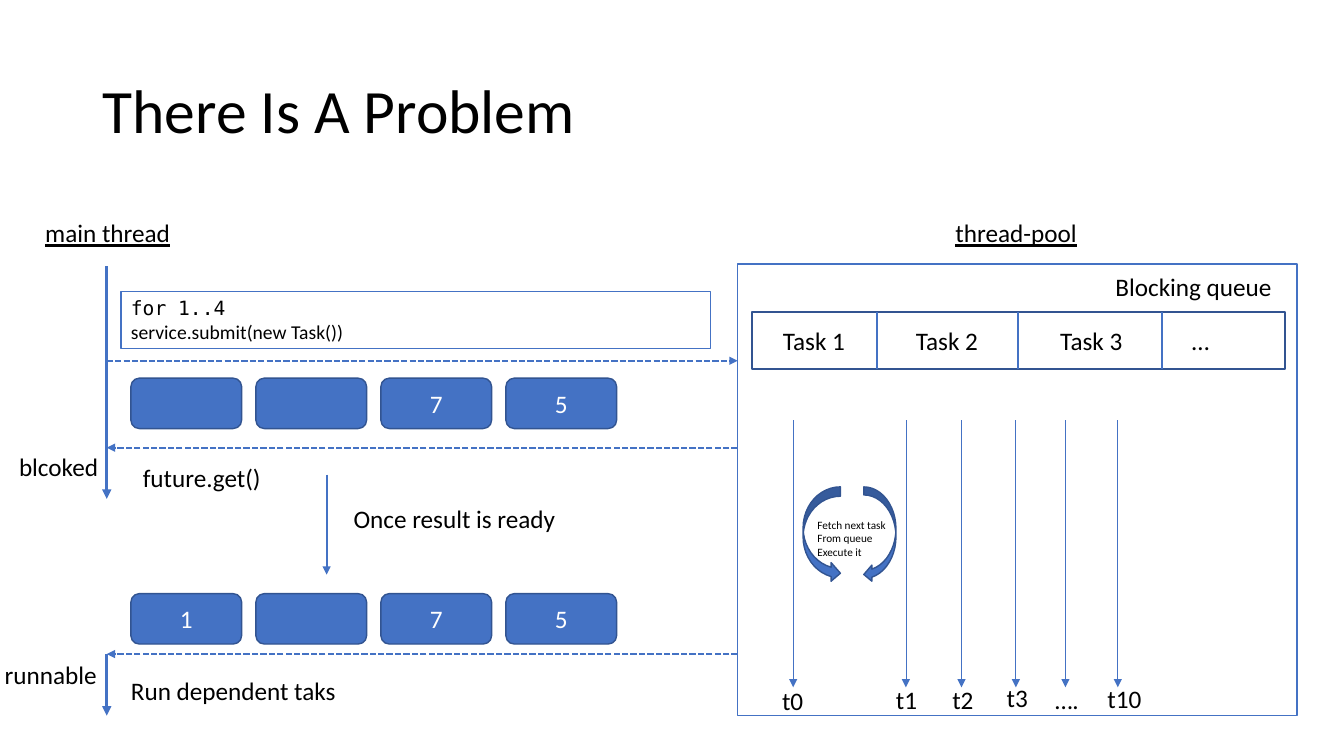
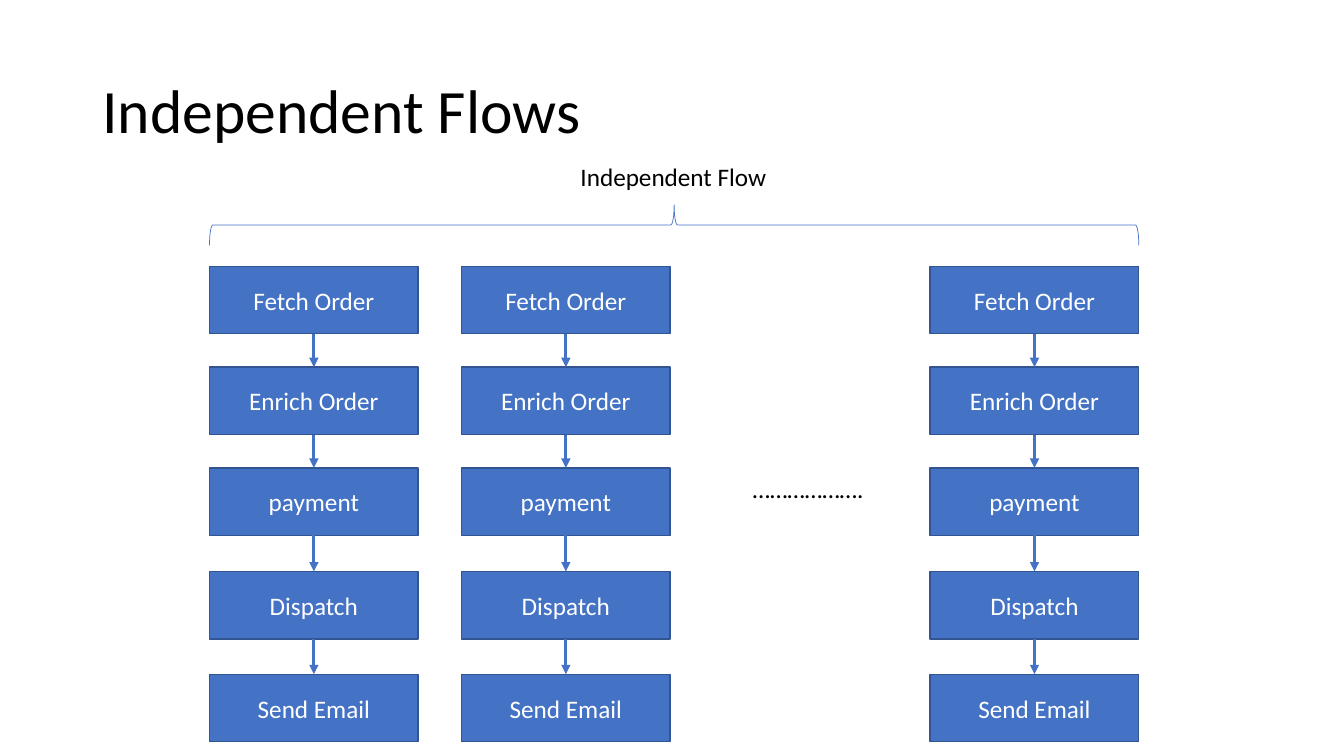
from pptx import Presentation
from pptx.dml.color import RGBColor
from pptx.enum import dml, shapes, text
from pptx.oxml.ns import qn
from pptx.util import Cm, Pt
from lxml import etree

BLUE = RGBColor(0x44, 0x72, 0xC4)
NAVY = RGBColor(0x32, 0x54, 0x91)
BLACK = RGBColor(0, 0, 0)
WHITE = RGBColor(0xFF, 0xFF, 0xFF)
FONT = "Calibri"
MONO = "DejaVu Sans Mono"
KIND = shapes.MSO_SHAPE


def add_block(s, kind, x, y, w, h, content="", fill=BLUE, line=NAVY, width=1):
    """Add a preset shape with centred white text; sizes in cm, fill may be None."""
    sp = s.shapes.add_shape(kind, Cm(x), Cm(y), Cm(w), Cm(h))
    sp.shadow.inherit = False
    if fill is None:
        sp.fill.background()
    else:
        sp.fill.solid()
        sp.fill.fore_color.rgb = fill
    sp.line.color.rgb = line
    sp.line.width = Pt(width)
    if content:
        tf = sp.text_frame
        tf.text = content
        tf.vertical_anchor = text.MSO_ANCHOR.MIDDLE
        for p in tf.paragraphs:
            p.alignment = text.PP_ALIGN.CENTER
            p.font.name, p.font.size, p.font.color.rgb = FONT, Pt(18), WHITE
    return sp


def add_line(s, x1, y1, x2, y2, width, arrow=True, dashed=False):
    c = s.shapes.add_connector(shapes.MSO_CONNECTOR.STRAIGHT,
                               Cm(x1), Cm(y1), Cm(x2), Cm(y2))
    c.line.color.rgb = BLUE
    c.line.width = Pt(width)
    if dashed:
        c.line.dash_style = dml.MSO_LINE.SQUARE_DOT
    spPr = c._element.spPr
    if arrow:
        etree.SubElement(spPr.find(qn("a:ln")), qn("a:tailEnd"), type="triangle")
    etree.SubElement(spPr, qn("a:effectLst"))
    return c


prs = Presentation()
prs.slide_width, prs.slide_height = Cm(33.87), Cm(19.05)

slides = []
for title in ("There Is A Problem", "Independent Flows"):
    s = prs.slides.add_slide(prs.slide_layouts[5])
    sp = s.shapes.title
    sp.left, sp.top, sp.width, sp.height = Cm(2.33), Cm(1.02), Cm(29.21), Cm(3.68)
    tf = sp.text_frame
    tf.text = title
    tf.vertical_anchor = text.MSO_ANCHOR.MIDDLE
    p = tf.paragraphs[0]
    p.alignment = text.PP_ALIGN.LEFT
    p.line_spacing = 0.9
    p.font.name, p.font.size, p.font.color.rgb = FONT, Pt(44), BLACK
    slides.append(s)
problem, flows = slides

# Thread pool with its queue and worker threads
POOL_X, QUEUE_Y, QUEUE_H = 18.59, 7.87, 1.42
add_block(problem, KIND.RECTANGLE, POOL_X, 6.65, 14.1, 11.38, fill=None, line=BLUE)
add_block(problem, KIND.RECTANGLE, 18.95, QUEUE_Y, 13.44, QUEUE_H, fill=None, width=1.5)
for x in (22.1, 25.65, 29.29):
    add_line(problem, x, QUEUE_Y, x, QUEUE_Y + QUEUE_H, 1.5, arrow=False)
for x in (19.99, 22.83, 24.23, 25.6, 26.85, 28.17):
    add_line(problem, x, 10.59, x, 17.32, 0.5)
add_block(problem, KIND.CURVED_RIGHT_ARROW, 20.24, 12.27, 0.94, 2.41)
add_block(problem, KIND.CURVED_LEFT_ARROW, 21.77, 12.27, 0.81, 2.41)

# Main thread, its calls to the pool and the futures
MAIN_X = 2.69
add_line(problem, MAIN_X, 6.71, MAIN_X, 12.57, 2.25)
add_line(problem, MAIN_X, 16.48, MAIN_X, 18.03, 2.25)
add_line(problem, 8.23, 11.96, 8.23, 14.48, 1.5)
add_line(problem, MAIN_X, 9.09, POOL_X, 9.09, 1.5, dashed=True)
for y in (11.28, 16.48):
    add_line(problem, POOL_X, y, MAIN_X, y, 1.5, dashed=True)

code = add_block(problem, KIND.RECTANGLE, 3.05, 7.34, 14.86, 1.45,
                 "for 1..4\nservice.submit(new Task())", fill=None, line=BLUE, width=0.75)
code.text_frame.vertical_anchor = text.MSO_ANCHOR.TOP
for p, font in zip(code.text_frame.paragraphs, (MONO, FONT)):
    p.alignment = text.PP_ALIGN.LEFT
    p.font.name, p.font.size, p.font.color.rgb = font, Pt(14), BLACK

for y, results in ((9.53, ("", "", "7", "5")), (14.96, ("1", "", "7", "5"))):
    for i, result in enumerate(results):
        add_block(problem, KIND.ROUNDED_RECTANGLE, 3.3 + i * 3.15, y, 2.79, 1.27, result)

# Order flows, each a chain of steps
STEPS = (("Fetch Order", 6.71), ("Enrich Order", 9.25), ("payment", 11.79),
         ("Dispatch", 14.4), ("Send Email", 16.99))
STEP_W, STEP_H = 5.26, 1.7
FLOW_XS = (5.28, 11.63, 23.44)
for x in FLOW_XS:
    chain = [add_block(flows, KIND.RECTANGLE, x, y, STEP_W, STEP_H, step)
             for step, y in STEPS]
    for upper, lower in zip(chain, chain[1:]):
        c = add_line(flows, 0, 0, 0, 0, 2.25)
        c.begin_connect(upper, 2)
        c.end_connect(lower, 0)

# The brace is turned upright, so its frame is set around its centre
span = FLOW_XS[-1] + STEP_W - FLOW_XS[0]
depth, center_x, center_y = 1.02, FLOW_XS[0] + span / 2, 5.67
brace = add_block(flows, KIND.RIGHT_BRACE, center_x - depth / 2, center_y - span / 2,
                  depth, span, fill=None, line=BLUE, width=0.5)
brace.rotation = 270

# Labels: slide, text, left, top, width, size, underlined
LABELS = (
    (problem, "main thread", 0.89, 5.36, 3.71, 18, True),
    (problem, "thread-pool", 23.83, 5.36, 3.61, 18, True),
    (problem, "Blocking queue", 27.86, 6.71, 4.5, 18, False),
    (problem, "Task 1", 19.48, 8.08, 2.08, 18, False),
    (problem, "Task 2", 22.83, 8.08, 2.08, 18, False),
    (problem, "Task 3", 26.47, 8.08, 2.08, 18, False),
    (problem, "…", 29.79, 8.08, 0.97, 18, False),
    (problem, "t0", 19.46, 17.15, 1.04, 18, False),
    (problem, "t1", 22.33, 17.12, 1.04, 18, False),
    (problem, "t2", 23.75, 17.12, 1.04, 18, False),
    (problem, "t3", 25.12, 17.07, 1.04, 18, False),
    (problem, "….", 26.34, 17.12, 1.12, 18, False),
    (problem, "t10", 27.66, 17.09, 1.37, 18, False),
    (problem, "Fetch next task\nFrom queue\nExecute it", 20.35, 12.93, 2.26, 8, False),
    (problem, "Once result is ready", 8.66, 12.57, 5.66, 18, False),
    (problem, "future.get()", 3.35, 11.53, 3.53, 18, False),
    (problem, "blcoked", 0.23, 11.25, 2.54, 18, False),
    (problem, "runnable", -0.13, 16.48, 2.87, 18, False),
    (problem, "Run dependent taks", 3.05, 16.89, 5.74, 18, False),
    (flows, "Independent Flow", 14.38, 3.94, 5.26, 18, False),
    (flows, "……………….", 18.72, 11.79, 3.33, 18, False),
)
for s, content, x, y, w, size, underlined in LABELS:
    tf = s.shapes.add_textbox(Cm(x), Cm(y), Cm(w), Cm(1.02)).text_frame
    tf.text = content
    tf.word_wrap = False
    tf.auto_size = text.MSO_AUTO_SIZE.SHAPE_TO_FIT_TEXT
    for p in tf.paragraphs:
        p.font.name, p.font.size, p.font.color.rgb = FONT, Pt(size), BLACK
        if underlined:
            p.font.underline = True

prs.save("out.pptx")
